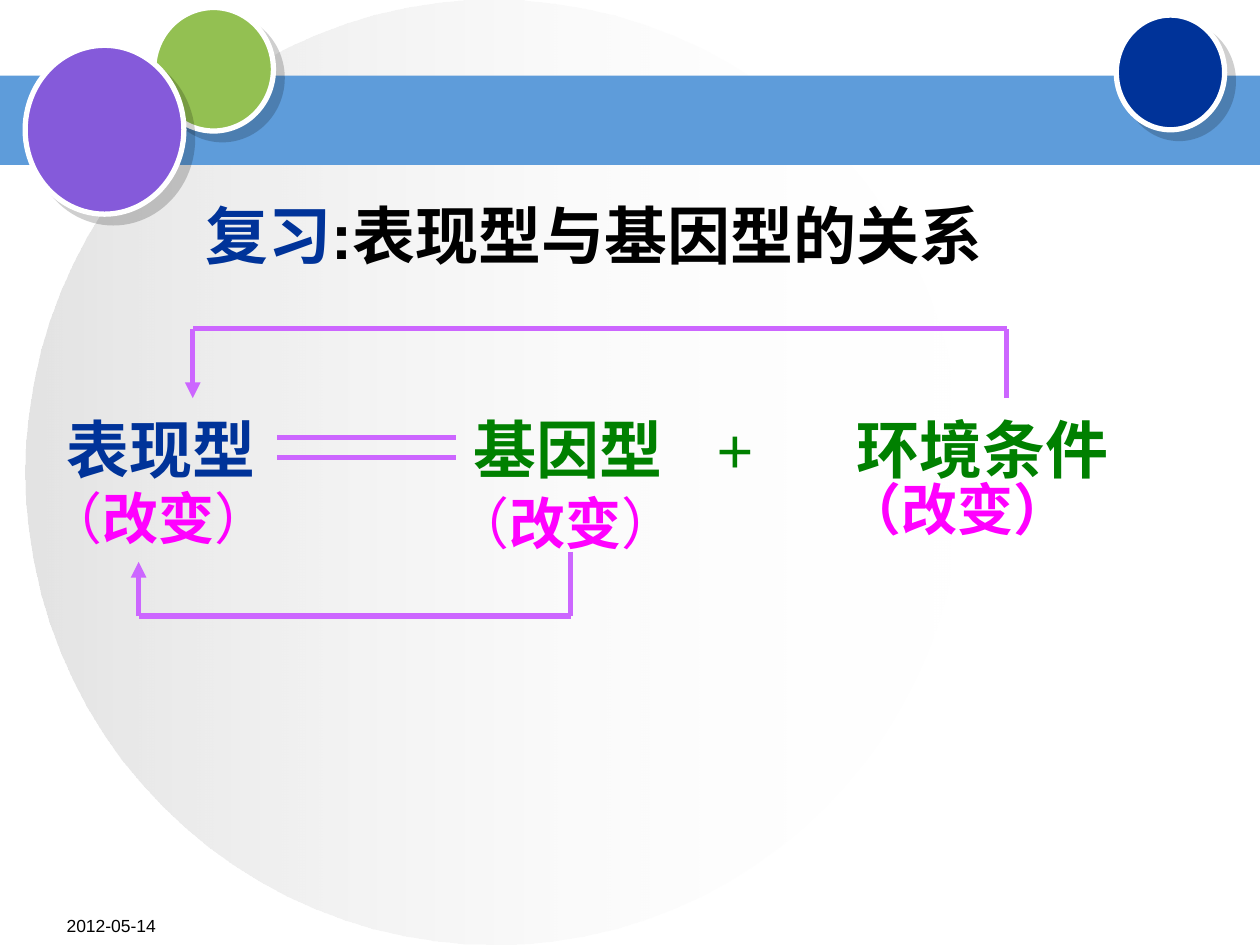
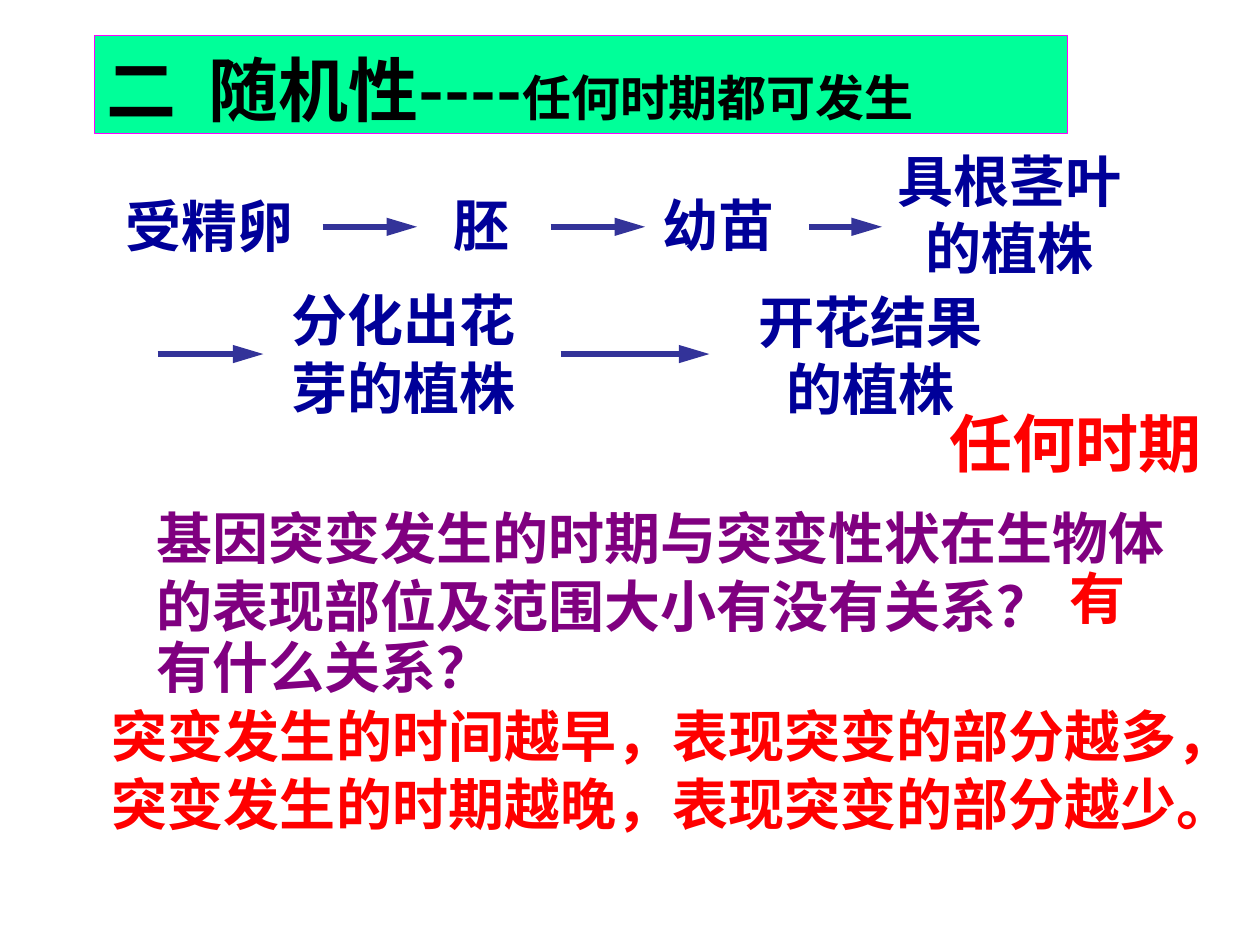
"""Build two biology review slides: phenotype versus genotype, and the randomness of mutation."""
from itertools import pairwise

from lxml import etree
from pptx import Presentation
from pptx import util as u
from pptx.dml.color import RGBColor
from pptx.enum import shapes, text
from pptx.oxml.ns import qn

THEME = {
    "colours": {
        "black": "000000", "white": "FFFFFF", "silver": "C0C0C0", "band": "5E9CDA",
        "lime": "93C052", "navy": "003399", "violet": "855ADA", "green": "008000",
        "magenta": "FF00FF", "orchid": "CC66FF", "ink": "000099", "indigo": "333399",
        "purple": "800080", "red": "FF0000", "mint": "00FF99",
    },
    "sizes": {"date": 10, "aside": 28, "body": 32, "head": 36, "banner": 40},
    "sans": "Arial", "serif": "Times New Roman", "cjk": "Noto Sans CJK SC",
    "leading": 1.2, "inset_top": 0.09,
}

HALO = (0.2, 0, 7.44, 7.5)
BAND = (0, 0.6, 10, 0.71)
BALLS = [
    ((1.22, 0.06, 0.95, 0.98), "lime"),
    ((8.86, 0.12, 0.86, 0.91), "navy"),
    ((0.2, 0.36, 1.26, 1.34), "violet"),
]

CHANGED = [("（", {"bold": False}), ("改变", {}), ("）", {"bold": False})]
RELATION = [
    ((0.43, 7.17, 2.08, 0.29), "2012-05-14", "date", "black", {"bold": False}),
    ((1.53, 1.47, 6.9, 0.7), [("复习", {"colour": "navy"}), (":表现型与基因型的关系", {})],
     "head", "black", {}),
    ((0.43, 3.17, 1.97, 0.7), "表现型", "head", "navy", {}),
    ((3.66, 3.17, 2.13, 0.7), "基因型", "head", "green", {}),
    ((5.59, 3.17, 0.6, 0.7), "+", "head", "green", {"bold": False}),
    ((6.7, 3.17, 2.36, 0.7), "环境条件", "head", "green", {}),
    ((0.27, 3.75, 2.28, 0.63), CHANGED, "body", "magenta", {}),
    ((3.5, 3.79, 2.09, 0.63), CHANGED, "body", "magenta", {}),
    ((6.61, 3.78, 2.24, 0.53), "（改变）", "body", "magenta", {"leading": 0.96}),
]
EQUALS = [[(2.2, y), (3.62, y)] for y in (3.47, 3.63)]
INFLUENCES = [
    [(7.99, 3.16), (7.99, 2.61), (1.53, 2.61), (1.53, 3.16)],
    [(4.53, 4.38), (4.53, 4.89), (1.1, 4.89), (1.1, 4.46)],
]

BANNER = (0.75, 0.28, 7.72, 0.78)
BANNER_TEXT = [("二\t随机性----", {}), ("任何时期都可发生", {"size": "aside"})]
BANNER_TAB = 0.81
STAGES = [
    ((0.9, 1.43, 1.65, 0.63), "受精卵"),
    ((3.5, 1.42, 1.17, 0.63), "胚"),
    ((5.16, 1.42, 1.25, 0.63), "幼苗"),
    ((6.97, 1.07, 2.08, 1.17), "具根茎叶的植株"),
    ((2.16, 2.18, 2.08, 1.17), "分化出花芽的植株"),
    ((5.87, 2.19, 2.08, 1.17), "开花结果的植株"),
]
STEPS = {1.8: [(2.56, 3.31), (4.37, 5.12), (6.42, 7)], 2.81: [(1.25, 2.09), (4.45, 5.63)]}
DISCUSSION = [
    ((1.14, 3.91, 8.58, 1.17), "基因突变发生的时期与突变性状在生物体的表现部位及范围大小有没有关系？",
     "body", "purple", {}),
    ((1.14, 4.93, 3.15, 0.63), "有什么关系？", "body", "purple", {}),
    ((0.79, 5.48, 9.21, 1.17),
     "突变发生的时间越早，表现突变的部分越多，突变发生的时期越晚，表现突变的部分越少。",
     "body", "red", {}),
    ((8.39, 4.38, 0.99, 0.63), "有", "body", "red", {}),
    ((7.44, 3.12, 2.4, 0.7), "任何时期", "head", "red", {"face": "cjk"}),
]


def rgb(name):
    return RGBColor.from_string(THEME["colours"][name])


def inches(values):
    return [u.Inches(value) for value in values]


def child(parent, tag, **attributes):
    return etree.SubElement(parent, qn(tag), {k: str(v) for k, v in attributes.items()})


def fill_text(frame, words, size, colour, face="sans", bold=True, leading=THEME["leading"],
              align=text.PP_ALIGN.LEFT, tab=None):
    points = THEME["sizes"][size]
    frame.word_wrap = True
    frame.vertical_anchor = text.MSO_ANCHOR.TOP
    frame.margin_top = u.Inches(THEME["inset_top"])
    paragraph = frame.paragraphs[0]
    paragraph.alignment = align
    paragraph.line_spacing = u.Pt(points * leading)
    if tab:
        tabs = child(paragraph._p.get_or_add_pPr(), "a:tabLst")
        child(tabs, "a:tab", pos=u.Inches(tab), algn="l")
    paragraph.font.name = THEME[face]
    paragraph.font.size = u.Pt(points)
    paragraph.font.bold = bold
    paragraph.font.color.rgb = rgb(colour)
    for part, changes in [(words, {})] if isinstance(words, str) else words:
        run = paragraph.add_run()
        run.text = part
        if "bold" in changes:
            run.font.bold = changes["bold"]
        if "size" in changes:
            run.font.size = u.Pt(THEME["sizes"][changes["size"]])
        if "colour" in changes:
            run.font.color.rgb = rgb(changes["colour"])


def add_words(slide, box, words, size, colour, options):
    fill_text(slide.shapes.add_textbox(*inches(box)).text_frame, words, size, colour, **options)


def add_solid(slide, kind, box, colour, edge=None, width=0):
    solid = slide.shapes.add_shape(kind, *inches(box))
    solid.shadow.inherit = False
    solid.fill.solid()
    solid.fill.fore_color.rgb = rgb(colour)
    if edge:
        solid.line.color.rgb = rgb(edge)
        solid.line.width = u.Pt(width)
    else:
        solid.line.fill.background()
    return solid


def add_route(slide, points, colour, width, head_length=None):
    for start, end in pairwise(points):
        leg = slide.shapes.add_connector(shapes.MSO_CONNECTOR.STRAIGHT, *inches(start + end))
        leg.line.color.rgb = rgb(colour)
        leg.line.width = u.Pt(width)
        child(leg._element.spPr, "a:effectLst")
    if head_length:
        child(leg.line._get_or_add_ln(), "a:tailEnd", type="triangle", w="med", len=head_length)


def add_halo(slide):
    halo = add_solid(slide, shapes.MSO_SHAPE.OVAL, HALO, "white")
    halo.fill.gradient()
    halo.fill.gradient_angle = 0
    for stop, colour in zip(halo.fill.gradient_stops, ("silver", "white")):
        stop.color.rgb = rgb(colour)
    for tint, alpha in zip(halo._element.spPr.iter(qn("a:srgbClr")), (44000, 0)):
        child(tint, "a:alpha", val=alpha)


def add_ball(slide, box, colour):
    ball = add_solid(slide, shapes.MSO_SHAPE.OVAL, box, colour, "white", 3)
    effects = ball._element.spPr.find(qn("a:effectLst"))
    shade = child(effects, "a:outerShdw", blurRad=0, dist=u.Pt(7.1), dir=45 * 60000,
                  algn="ctr", rotWithShape=0)
    child(child(shade, "a:srgbClr", val=THEME["colours"]["black"]), "a:alpha", val=19000)


def build_relation(slide):
    add_halo(slide)
    add_solid(slide, shapes.MSO_SHAPE.RECTANGLE, BAND, "band")
    for box, colour in BALLS:
        add_ball(slide, box, colour)
    for entry in RELATION:
        add_words(slide, *entry)
    for stroke in EQUALS:
        add_route(slide, stroke, "orchid", 3)
    for influence in INFLUENCES:
        add_route(slide, influence, "orchid", 3, "med")


def build_randomness(slide):
    for box, stage in STAGES:
        add_words(slide, box, stage, "body", "ink",
                  {"face": "serif", "align": text.PP_ALIGN.CENTER if box[3] > 1 else text.PP_ALIGN.LEFT})
    for y, spans in STEPS.items():
        for left, right in spans:
            add_route(slide, [(left, y), (right, y)], "indigo", 3.5, "lg")
    for entry in DISCUSSION:
        add_words(slide, *entry)
    banner = add_solid(slide, shapes.MSO_SHAPE.RECTANGLE, BANNER, "mint", "magenta", 0.75)
    fill_text(banner.text_frame, BANNER_TEXT, "banner", "black", face="cjk", tab=BANNER_TAB)


def main():
    deck = Presentation()
    deck.slide_width, deck.slide_height = inches((10, 7.5))
    for build in (build_relation, build_randomness):
        build(deck.slides.add_slide(deck.slide_layouts[6]))
    deck.save("out.pptx")


if __name__ == "__main__":
    main()
